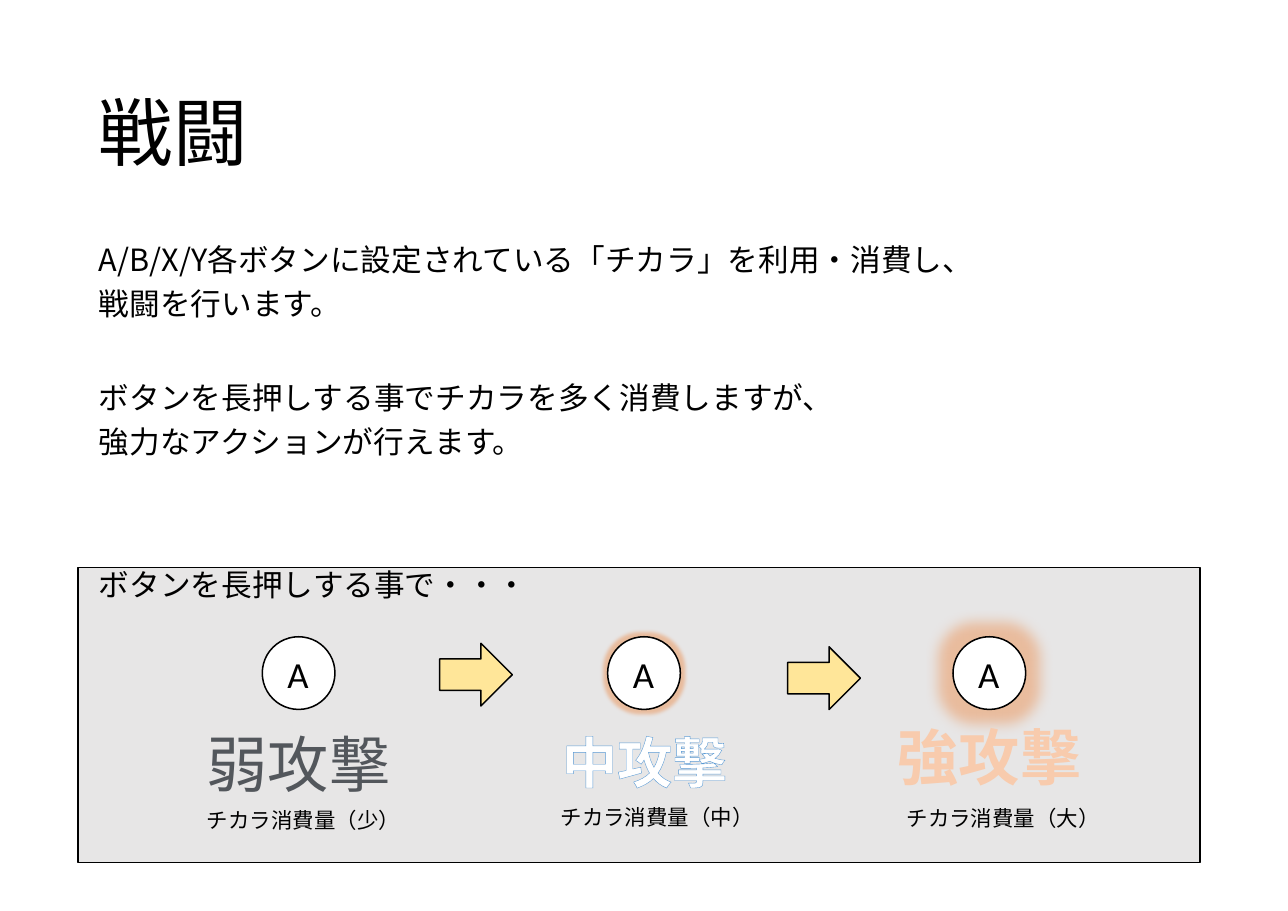
from lxml.etree import SubElement
from pptx import Presentation
from pptx.dml.color import RGBColor
from pptx.enum.dml import MSO_PATTERN
from pptx.enum.shapes import MSO_SHAPE
from pptx.enum.text import MSO_ANCHOR, MSO_AUTO_SIZE, PP_ALIGN
from pptx.oxml import parse_xml
from pptx.oxml.ns import nsdecls, qn
from pptx.util import Pt

HEX = {
    "black": "000000", "white": "FFFFFF", "panel": "E7E6E6", "arrow": "FFE699",
    "dark": "53575C", "pale": "C5C7CA", "sky": "9DC3E6", "blue": "5B9BD5",
    "peach": "F8CBAD", "orange": "ED7D31",
}
RGB = {name: RGBColor.from_string(code) for name, code in HEX.items()}
CENTER = PP_ALIGN.CENTER

deck = Presentation()
deck.slide_width, deck.slide_height = Pt(841.68), Pt(595.44)
slide = deck.slides.add_slide(deck.slide_layouts[6])


def draw(kind, box, fill):
    shape = slide.shapes.add_shape(kind, *map(Pt, box))
    shape.shadow.inherit = False
    shape.fill.solid()
    shape.fill.fore_color.rgb = RGB[fill]
    shape.line.color.rgb = RGB["black"]
    shape.line.width = Pt(1)
    return shape


def write(box, lines, size, face="Calibri", frame={}, para={}, bold=False):
    text = slide.shapes.add_textbox(*map(Pt, box)).text_frame
    style = {"word_wrap": False, "auto_size": MSO_AUTO_SIZE.SHAPE_TO_FIT_TEXT} | frame
    for key, value in style.items():
        setattr(text, key, value)
    for i, line in enumerate(lines):
        row = text.paragraphs[0] if i == 0 else text.add_paragraph()
        for key, value in para.items():
            setattr(row, key, value)
        run = row.add_run()
        run.text = line
        for key, value in {"name": face, "size": Pt(size), "bold": bold}.items():
            setattr(run.font, key, value)
        run.font.color.rgb = RGB["black"]
        SubElement(run.font._element, qn("a:ea"), typeface=face)
    return text


draw(MSO_SHAPE.RECTANGLE, (51.1, 370.8, 733, 193), "panel")

fixed = {"word_wrap": True, "auto_size": MSO_AUTO_SIZE.NONE}
write((57.6, 31.7, 725.8, 115.2), ["戦闘"], 48.5,
      frame=fixed | {"vertical_anchor": MSO_ANCHOR.MIDDLE}, para={"line_spacing": 0.9})

lines = [
    "A/B/X/Y各ボタンに設定されている「チカラ」を利用・消費し、",
    "戦闘を行います。",
    "ボタンを長押しする事でチカラを多く消費しますが、",
    "強力なアクションが行えます。",
    "ボタンを長押しする事で・・・",
]
body = write((57.6, 158.4, 725.8, 378), lines, 20, "Noto Sans CJK JP", fixed,
             {"line_spacing": 0.8, "space_before": Pt(9.5)})
body.paragraphs[2].space_before = Pt(42.2)
body.paragraphs[4].space_before = Pt(74.8)
last = body.paragraphs[4].runs[0].font
last.name = "Calibri"
last._element.find(qn("a:ea")).set("typeface", "Calibri")

for i, glow in enumerate((0, 5, 18)):
    left = 171.4 + 225.7 * i
    ball = draw(MSO_SHAPE.OVAL, (left, 416.2, 47.5, 47.5), "white")
    if glow:
        ball._element.spPr.find(qn("a:effectLst")).append(parse_xml(
            f'<a:glow {nsdecls("a")} rad="{Pt(glow)}"><a:srgbClr val="{HEX["orange"]}">'
            '<a:alpha val="40000"/></a:srgbClr></a:glow>'))
    write((left + 9.4, 422.4, 28.8, 36), ["A"], 24)

for left, top in ((287.3, 420.5), (514.8, 422.8)):
    draw(MSO_SHAPE.RIGHT_ARROW, (left, top, 47.5, 41), "arrow")

weak, strong, mid = [
    write(box, [word], size, para={"alignment": CENTER}, bold=bold).paragraphs[0].runs[0].font
    for box, word, size, bold in (
        ((127.4, 470.9, 135.4, 55.4), "弱攻撃", 40, False),
        ((578.9, 466.6, 135.4, 55.4), "強攻撃", 40, True),
        ((359.3, 472.3, 123.8, 51.1), "中攻撃", 36, True))
]

weak.fill.gradient()
weak.fill.gradient_angle = 270
for stop, tone, place in zip(weak.fill.gradient_stops, ("dark", "pale"), (0.21, 0.88)):
    stop.color.rgb = RGB[tone]
    stop.position = place

strong.color.rgb = RGB["peach"]
mid.fill.patterned()
mid.fill.pattern = MSO_PATTERN.LIGHT_DOWNWARD_DIAGONAL
mid.fill.fore_color.rgb = RGB["sky"]
mid.fill.back_color.rgb = RGB["white"]

for font, tone, width in ((strong, "orange", 1.75), (mid, "blue", 1)):
    font._element.insert(0, parse_xml(
        f'<a:ln {nsdecls("a")} w="{Pt(width)}"><a:solidFill>'
        f'<a:srgbClr val="{HEX[tone]}"/></a:solidFill></a:ln>'))

for left, top, cost in ((128.2, 524.2, "少"), (359.3, 522, "中"), (585.4, 522.7, "大")):
    write((left, top, 141.8, 24.5), [f"チカラ消費量（{cost}）"], 14)

deck.save("out.pptx")
